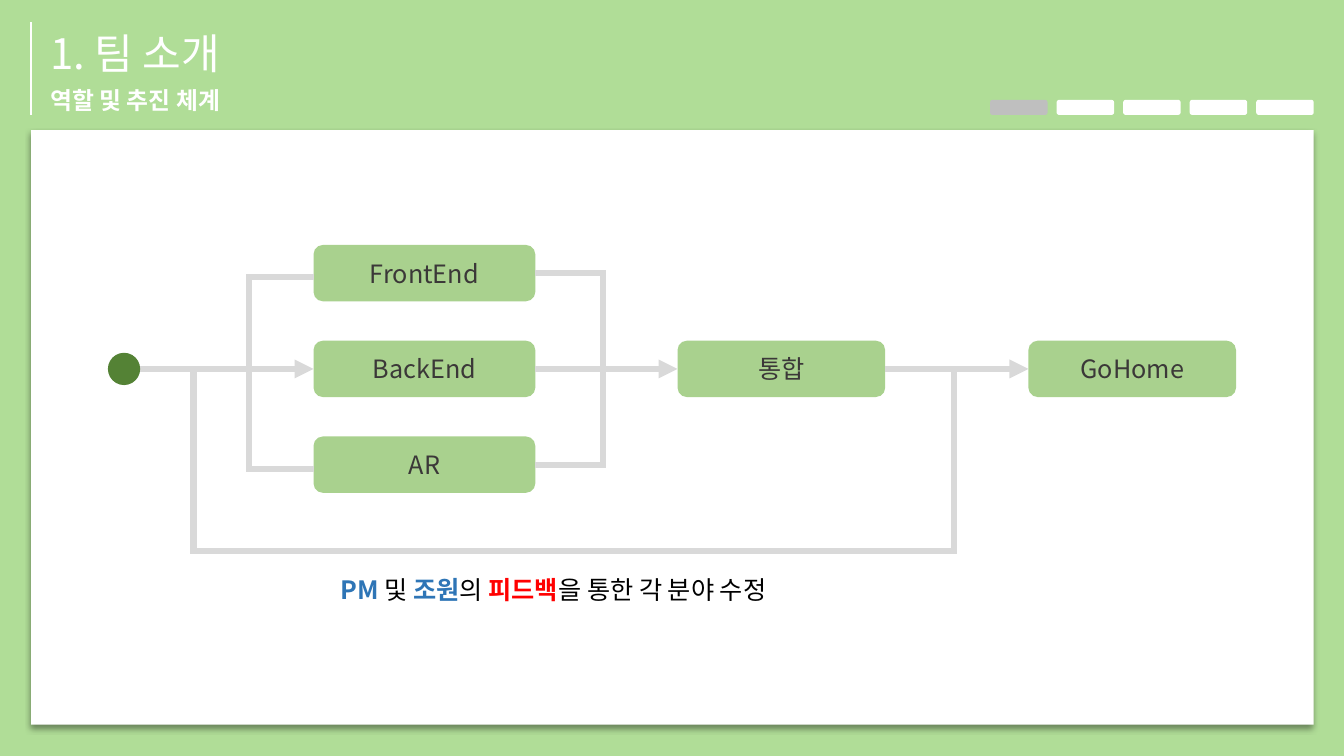
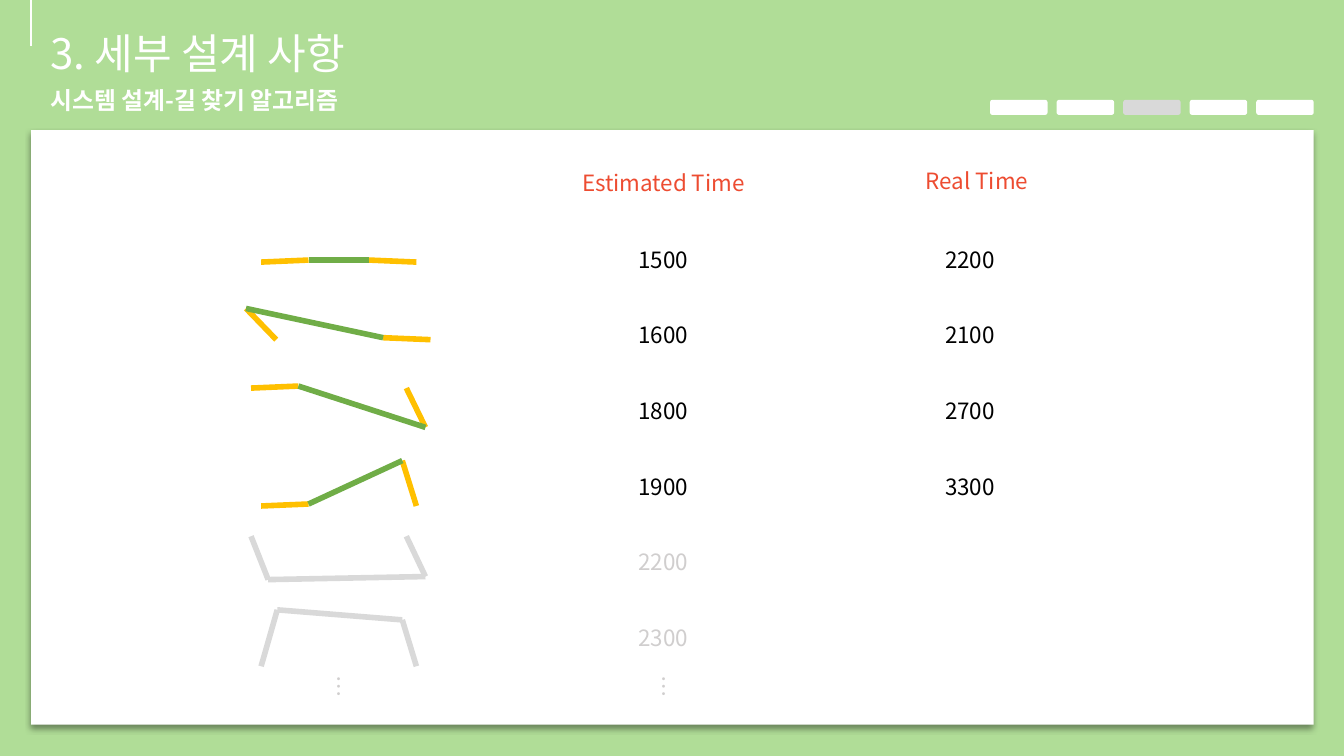
from lxml.etree import SubElement
from pptx import Presentation
from pptx.dml.color import RGBColor
from pptx.enum.shapes import MSO_CONNECTOR as Link, MSO_SHAPE as Shape
from pptx.enum.text import MSO_ANCHOR as Anchor, PP_ALIGN as Align
from pptx.oxml.ns import qn
from pptx.util import Inches, Pt

FONT = "Noto Sans CJK KR"
GREEN, WHITE, NODE, START = "B0DD97", "FFFFFF", "A9D18E", "548235"
GREY, FADED, INK, BLACK = "D9D9D9", "D0CECE", "3B3838", "000000"
BLUE, RED, HEADING = "2E75B6", "FF0000", "ED4C31"
YELLOW, ROUTE = "FFC000", "70AD47"
PANEL = (0.31, 1.29, 12.72, 5.9)


def color(value):
    return RGBColor.from_string(value)


def inches(*values):
    return [Inches(value) for value in values]


def add_block(page, kind, box, fill):
    block = page.shapes.add_shape(kind, *inches(*box))
    block.shadow.inherit = False
    block.fill.solid()
    block.fill.fore_color.rgb = color(fill)
    block.line.fill.background()
    return block


def add_line(page, start, end, stroke, width, arrow=False):
    line = page.shapes.add_connector(Link.STRAIGHT, *inches(*start, *end))
    line.line.color.rgb = color(stroke)
    line.line.width = Pt(width)
    if arrow:
        SubElement(line.line._get_or_add_ln(), qn("a:tailEnd"), type="triangle")
    SubElement(line._element.spPr, qn("a:effectLst"))
    return line


def write(frame, runs, align=Align.LEFT, **base):
    """Fill one paragraph with (text, font overrides) pairs."""
    frame.word_wrap = True
    para = frame.paragraphs[0]
    para.alignment = align
    for text, changes in runs:
        style = {"name": FONT, "bold": False, **base, **changes}
        span = para.add_run()
        span.text = text
        span.font.color.rgb = color(style.pop("ink"))
        for key, value in style.items():
            setattr(span.font, key, value)
        SubElement(span.font._element, qn("a:ea"), typeface=FONT)


def add_text(page, box, runs, **style):
    label = page.shapes.add_textbox(*inches(*box))
    write(label.text_frame, runs, **style)
    return label


def add_panel(page, box):
    panel = add_block(page, Shape.RECTANGLE, box, WHITE)
    effects = panel._element.spPr.find(qn("a:effectLst"))
    shadow = SubElement(effects, qn("a:outerShdw"), blurRad=str(Pt(4)), dist=str(Pt(3)),
                        dir="5400000", algn="t", rotWithShape="0")
    tint = SubElement(shadow, qn("a:srgbClr"), val=BLACK)
    SubElement(tint, qn("a:alpha"), val="40000")


def add_progress(page, box, active, shade, count=5):
    left, top, width, height = box
    step = 0.66
    pill = width - step * (count - 1)
    for index in range(count):
        add_block(page, Shape.ROUNDED_RECTANGLE, (left + step * index, top, pill, height),
                  shade if index == active else WHITE)


def add_page(deck, title, subtitle, rule, active, shade):
    page = deck.slides.add_slide(deck.slide_layouts[6])
    page.background.fill.solid()
    page.background.fill.fore_color.rgb = color(GREEN)
    add_panel(page, PANEL)
    # Header
    add_text(page, (0.4, 0.22, 12.63, 0.61), [(title, {})], size=Pt(30), ink=WHITE)
    add_line(page, (PANEL[0], rule[0]), (PANEL[0], rule[1]), WHITE, 1.5)
    add_text(page, (0.4, 0.8, 12.63, 0.39), [(subtitle, {})], size=Pt(17), ink=WHITE, bold=True)
    add_progress(page, (9.82, 0.99, 3.21, 0.15), active, shade)
    return page


def add_workflow(page, box):
    left, top = box[:2]
    height, pitch, first = 0.56, 0.95, 1.14
    upper, middle, lower = [first + height / 2 + pitch * row for row in range(3)]
    loop = 4.18

    def node(text, x, row, width):
        shape = add_block(page, Shape.ROUNDED_RECTANGLE,
                          (left + x, top + first + pitch * row, width, height), NODE)
        shape.text_frame.vertical_anchor = Anchor.MIDDLE
        write(shape.text_frame, [(text, {})], align=Align.CENTER, size=Pt(18), ink=INK)
        return shape

    def rail(x1, y1, x2, y2, source=None, target=None, arrow=False):
        line = add_line(page, (left + x1, top + y1), (left + x2, top + y2), GREY, 4.5, arrow)
        if source:
            line.begin_connect(source, 3)
        if target:
            line.end_connect(target, 1)

    # Steps
    front, back, reality = [node(text, 2.8, row, 2.2)
                            for row, text in enumerate(("FrontEnd", "BackEnd", "AR"))]
    merge = node("통합", 6.41, 1, 2.06)
    product = node("GoHome", 9.89, 1, 2.06)

    # Main flow
    rail(1.08, middle, 2.8, middle, target=back, arrow=True)
    rail(5, middle, 6.41, middle, back, merge, True)
    rail(8.47, middle, 9.89, middle, merge, product, True)

    # Branches in and out of the three parts
    drop = 0.04
    rail(2.16, upper + drop, 2.16, lower + drop)
    for y in (upper, lower):
        rail(2.8, y + drop, 2.13, y + drop)
    rail(5.67, upper, 5.67, lower)
    for part, y in ((front, upper), (reality, lower)):
        rail(5, y, 5.7, y, source=part)

    # Feedback loop
    rail(9.15, middle, 9.15, loop)
    rail(9.18, loop, 1.57, loop)
    rail(1.61, loop, 1.61, middle)
    add_block(page, Shape.OVAL, (left + 0.76, top + middle - 0.16, 0.32, 0.32), START)
    key = {"ink": BLUE, "bold": True}
    add_text(page, (left + 2.97, top + 4.36, 4.47, 0.4),
             [("PM ", key), ("및 ", {}), ("조원", key), ("의 ", {}),
              ("피드백", {"ink": RED, "bold": True}), ("을 통한 각 분야 수정", {})],
             size=Pt(18), ink=BLACK)


# Four corners of each route within its row, then its two times
ROUTES = [
    ([(0.15, 0.21), (0.62, 0.19), (1.22, 0.19), (1.69, 0.21)], "1500", "2200"),
    ([(0.3, 0.23), (0, -0.08), (1.36, 0.21), (1.83, 0.23)], "1600", "2100"),
    ([(0.05, -0.04), (0.52, -0.06), (1.78, 0.35), (1.59, -0.04)], "1800", "2700"),
    ([(0.15, 0.38), (0.62, 0.36), (1.55, -0.07), (1.69, 0.38)], "1900", "3300"),
    ([(0.05, -0.07), (0.22, 0.36), (1.78, 0.33), (1.59, -0.07)], "2200", None),
    ([(0.15, 0.47), (0.31, -0.09), (1.55, 0.01), (1.69, 0.47)], "2300", None),
]


def add_routes(page, box):
    left, top = box[:2]
    first, pitch, sketch, estimated, real = 1.1, 0.75, 2.13, 5.07, 8.11

    def label(text, x, y, ink, width=2.4):
        return add_text(page, (left + x, top + y, width, 0.37), [(text, {})],
                        align=Align.CENTER, size=Pt(16), ink=ink)

    label("Estimated Time", estimated, 0.34, HEADING)
    label("Real Time", real + 0.07, 0.32, HEADING)
    for row, (corners, guess, actual) in enumerate(ROUTES):
        y = first + pitch * row
        points = [(left + sketch + dx, top + y + dy) for dx, dy in corners]
        ends, middle = (YELLOW, ROUTE) if actual else (GREY, GREY)
        for index, stroke in ((0, ends), (2, ends), (1, middle)):
            add_line(page, points[index], points[index + 1], stroke, 4)
        label(guess, estimated, y, BLACK if actual else FADED)
        if actual:
            label(actual, real, y, BLACK)
    # Continuation dots
    for x in (2.75, 5.98):
        label("…", x, 5.34, FADED, 0.6).rotation = 90


def main():
    deck = Presentation()
    deck.slide_width, deck.slide_height = inches(13.33, 7.5)
    team = add_page(deck, "1. 팀 소개", "역할 및 추진 체계", (0.22, 1.14), 0, "BFBFBF")
    add_workflow(team, PANEL)
    design = add_page(deck, "3. 세부 설계 사항", "시스템 설계-길 찾기 알고리즘", (0, 0.46), 2, GREY)
    add_routes(design, PANEL)
    deck.save("out.pptx")


if __name__ == "__main__":
    main()
